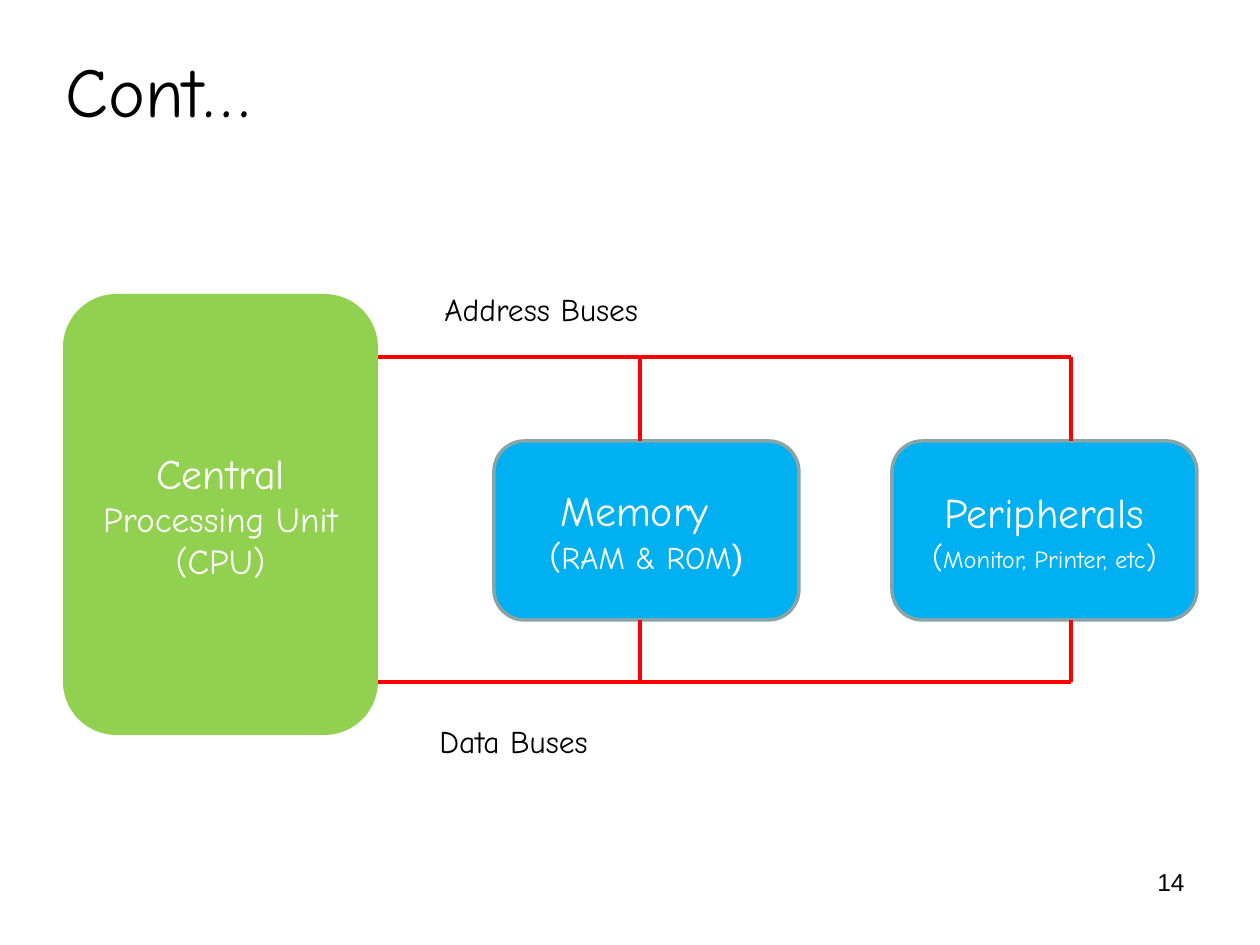
"""Build a slide showing a CPU linked to memory and peripherals by buses."""
from pptx import Presentation
from pptx.dml.color import RGBColor
from pptx.enum.shapes import MSO_CONNECTOR, MSO_SHAPE
from pptx.enum.text import MSO_ANCHOR, PP_ALIGN
from pptx.oxml.ns import qn
from pptx.util import Emu, Pt

ROUNDED = MSO_SHAPE.ROUNDED_RECTANGLE
STRAIGHT = MSO_CONNECTOR.STRAIGHT
TOP, MIDDLE = MSO_ANCHOR.TOP, MSO_ANCHOR.MIDDLE
LEFT, CENTER, RIGHT = PP_ALIGN.LEFT, PP_ALIGN.CENTER, PP_ALIGN.RIGHT

PX_PER_INCH = 126
HAND, PLAIN = "Comic Neue", "Arial"
BLACK, WHITE, RED = "000000", "FFFFFF", "FF0000"
GREEN, BLUE, GRAY = "92D050", "00B0F0", "89A4A7"

CPU_RIGHT = 378
ADDRESS_Y, DATA_Y = 357, 682
BLOCK_TOP, BLOCK_WIDTH, BLOCK_HEIGHT = 441, 305, 179
MEMORY_X, PERIPHERALS_X = 640, 1071
MEMORY_SHIFT = 24


def px(value):
    """Turn pixels into EMU."""
    return Emu(round(value * 914400 / PX_PER_INCH))


def color(value):
    """Turn a hex string into a colour."""
    return RGBColor.from_string(value)


def write(shape, paragraphs, hue, align, anchor):
    """Fill a shape with paragraphs made of (text, size, font) runs."""
    frame = shape.text_frame
    frame.vertical_anchor = anchor
    for index, runs in enumerate(paragraphs):
        paragraph = frame.add_paragraph() if index else frame.paragraphs[0]
        paragraph.alignment = align
        for text, size, font in runs:
            run = paragraph.add_run()
            run.text = text
            run.font.size = Pt(size)
            run.font.name = font
            run.font.color.rgb = color(hue)


def add_text(slide, box, run, align=LEFT, anchor=TOP, wrap=True):
    """Add a text box holding one run."""
    shape = slide.shapes.add_textbox(*map(px, box))
    shape.text_frame.word_wrap = wrap
    write(shape, [[run]], BLACK, align, anchor)


def add_block(slide, box, fill, paragraphs, outline=None):
    """Add a rounded block with centred white text."""
    shape = slide.shapes.add_shape(ROUNDED, *map(px, box))
    shape.shadow.inherit = False
    shape.adjustments[0] = 0.17
    shape.fill.solid()
    shape.fill.fore_color.rgb = color(fill)
    if outline:
        shape.line.color.rgb = color(outline)
        shape.line.width = Pt(2)
    else:
        shape.line.fill.background()
    shape.text_frame.word_wrap = True
    write(shape, paragraphs, WHITE, CENTER, MIDDLE)
    return shape


def shift_first_line(shape, distance):
    """Move the first line left of the centre that the second line keeps."""
    frame = shape.text_frame
    frame.margin_right += px(distance)
    properties = frame.paragraphs[1]._p.get_or_add_pPr()
    properties.set("marL", str(px(distance)))
    properties.set("indent", "0")


def add_bus(slide, start, end):
    """Add a red bus line between two points."""
    line = slide.shapes.add_connector(STRAIGHT, *map(px, start + end))
    line.line.color.rgb = color(RED)
    line.line.width = Pt(2.75)
    properties = line._element.spPr
    properties.append(properties.makeelement(qn("a:effectLst"), {}))


def main():
    """Build and save the slide."""
    presentation = Presentation()
    presentation.slide_width, presentation.slide_height = px(1260), px(945)
    slide = presentation.slides.add_slide(presentation.slide_layouts[6])

    add_text(slide, (53, 10, 1134, 158), ("Cont…", 40, HAND), anchor=MIDDLE)
    add_text(slide, (903, 861, 294, 65), ("14", 14, PLAIN), align=RIGHT)

    add_block(slide, (63, 294, CPU_RIGHT - 63, 441), GREEN, [
        [("Central ", 24, HAND), ("Processing Unit (CPU)", 20, HAND)],
    ])
    memory = add_block(slide, (494, BLOCK_TOP, BLOCK_WIDTH, BLOCK_HEIGHT), BLUE, [
        [("Memory", 24, HAND)],
        [("(", 20, HAND), ("RAM & ROM", 18, HAND), (")", 20, PLAIN)],
    ], GRAY)
    shift_first_line(memory, MEMORY_SHIFT)
    add_block(slide, (892, BLOCK_TOP, BLOCK_WIDTH, BLOCK_HEIGHT), BLUE, [
        [("Peripherals", 24, HAND)],
        [("(", 18, HAND), ("Monitor, Printer, etc", 14, HAND), (")", 18, HAND)],
    ], GRAY)

    for bus_y, block_y in ((ADDRESS_Y, BLOCK_TOP), (DATA_Y, BLOCK_TOP + BLOCK_HEIGHT)):
        add_bus(slide, (CPU_RIGHT, bus_y), (PERIPHERALS_X, bus_y))
        for branch_x in (MEMORY_X, PERIPHERALS_X):
            add_bus(slide, (branch_x, bus_y), (branch_x, block_y))

    add_text(slide, (432, 284, 219, 50), ("Address Buses", 18, HAND), wrap=False)
    add_text(slide, (427, 716, 174, 50), ("Data Buses", 18, HAND), wrap=False)

    presentation.save("out.pptx")


if __name__ == "__main__":
    main()
